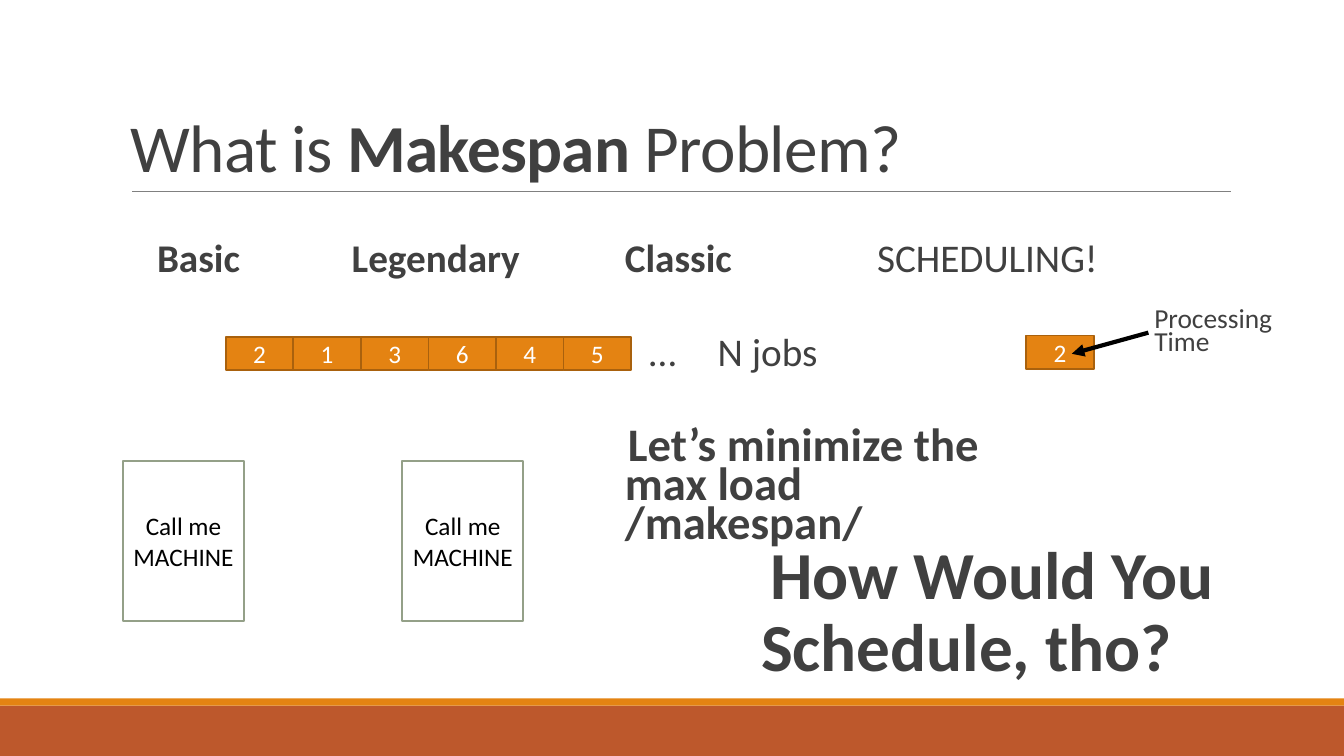
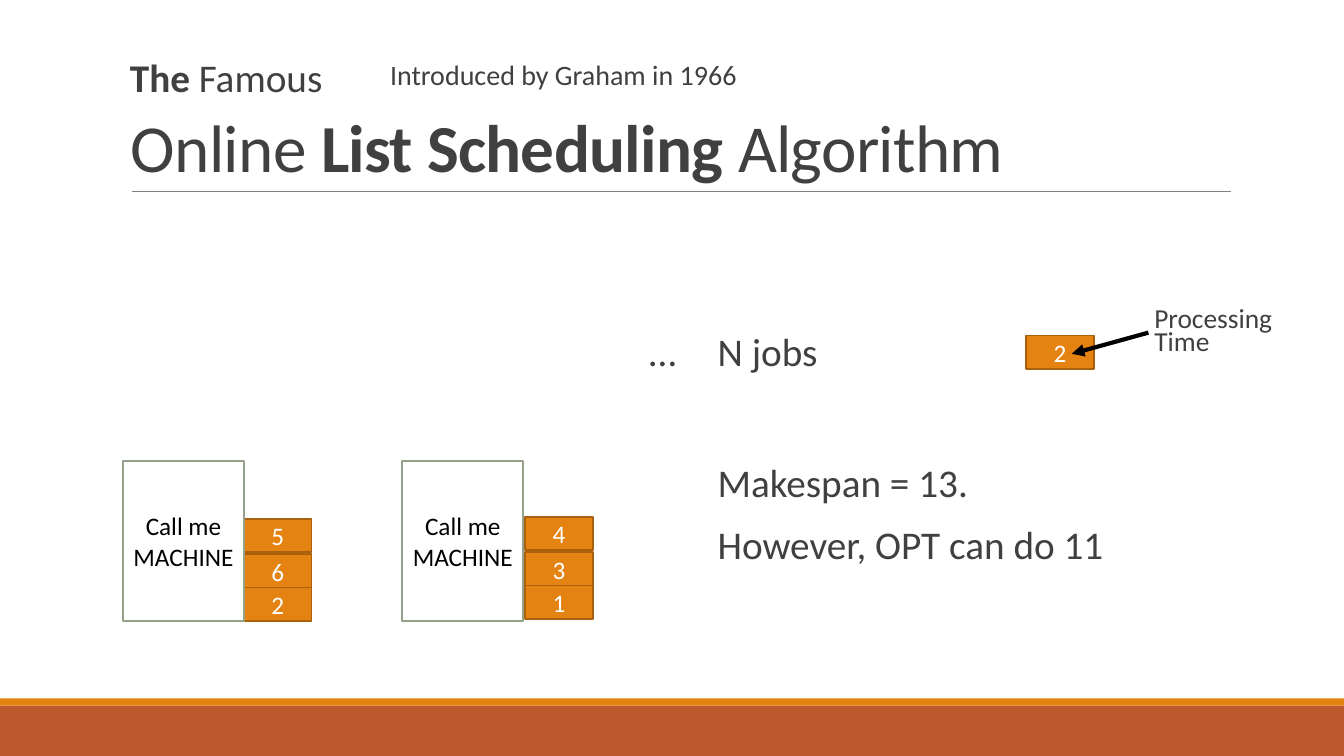
from dataclasses import dataclass

from lxml import etree
from pptx import Presentation
from pptx.dml.color import RGBColor
from pptx.enum import shapes, text
from pptx.oxml import ns
from pptx.util import Inches, Pt

FONT = "Calibri"
ORANGE, RUST, DARK_ORANGE = "E48312", "BD582C", "A9610D"
INK, GREY, SAGE, WHITE, BLACK = "404040", "808080", "94A088", "FFFFFF", "000000"

JOB_WIDTH, JOB_HEIGHT = 0.67, 0.33
MACHINE_WIDTH, MACHINE_HEIGHT = 1.2, 1.59
MACHINE_LEFTS = (1.22, 3.99)
MACHINE_TOP = 4.57
STACK_RISES = (0, 0.33, 0.68)


@dataclass(frozen=True)
class Span:
    text: str
    bold: bool = False


@dataclass(frozen=True)
class Label:
    left: float
    top: float
    width: float
    height: float
    paragraphs: list[list[Span]]
    size: float = 28
    line_spacing: float = 0.9
    first_indent: float = 0


@dataclass(frozen=True)
class Stack:
    left: float
    base: float
    jobs: tuple[int, ...]


def color(value: str) -> RGBColor:
    return RGBColor.from_string(value)


def style_font(font, size: float, value: str, bold: bool = False) -> None:
    font.name, font.size, font.bold = FONT, Pt(size), bold
    font.color.rgb = color(value)


# Shapes and lines
def add_box(slide, left: float, top: float, width: float, height: float, fill: str,
            line: str | None = None, caption: str = "", ink: str = WHITE) -> None:
    shape = slide.shapes.add_shape(shapes.MSO_SHAPE.RECTANGLE, Inches(left), Inches(top),
                                   Inches(width), Inches(height))
    shape.shadow.inherit = False
    shape.fill.solid()
    shape.fill.fore_color.rgb = color(fill)
    if line:
        shape.line.color.rgb = color(line)
        shape.line.width = Pt(1.25)
    else:
        shape.line.fill.background()
    if caption:
        frame = shape.text_frame
        frame.text = caption
        frame.vertical_anchor = text.MSO_ANCHOR.MIDDLE
        paragraph = frame.paragraphs[0]
        paragraph.alignment = text.PP_ALIGN.CENTER
        style_font(paragraph.runs[0].font, 18, ink)


def add_line(slide, start: tuple[float, float], end: tuple[float, float],
             value: str, width: float, arrow: bool = False) -> None:
    line = slide.shapes.add_connector(shapes.MSO_CONNECTOR.STRAIGHT,
                                      *map(Inches, start + end))
    line.line.color.rgb = color(value)
    line.line.width = Pt(width)
    if arrow:
        etree.SubElement(line.line._get_or_add_ln(), ns.qn("a:tailEnd"), type="triangle")
    etree.SubElement(line._element.spPr, ns.qn("a:effectLst"))


# Text
def add_spans(paragraph, spans: list[Span], size: float) -> None:
    for span in spans:
        run = paragraph.add_run()
        run.text = span.text
        style_font(run.font, size, INK, span.bold)


def add_text_frame(slide, left: float, top: float, width: float, height: float):
    box = slide.shapes.add_textbox(Inches(left), Inches(top), Inches(width), Inches(height))
    box.text_frame.word_wrap = True
    return box.text_frame


def add_label(slide, label: Label) -> None:
    frame = add_text_frame(slide, label.left, label.top, label.width, label.height)
    frame.margin_left, frame.margin_right = Inches(0.1), 0
    for index, spans in enumerate(label.paragraphs):
        paragraph = frame.add_paragraph() if index else frame.paragraphs[0]
        paragraph.line_spacing = label.line_spacing
        paragraph.space_before, paragraph.space_after = Pt(12), Pt(2)
        if label.first_indent:
            paragraph._p.get_or_add_pPr().set("indent", str(Inches(label.first_indent)))
        add_spans(paragraph, spans, label.size)


def add_title(slide, spans: list[Span]) -> None:
    frame = add_text_frame(slide, 1.2, 0.4, 11, 1.5)
    frame.vertical_anchor = text.MSO_ANCHOR.BOTTOM
    paragraph = frame.paragraphs[0]
    paragraph.line_spacing = 0.85
    add_spans(paragraph, spans, 48)
    for run in paragraph.runs:
        run.font._element.set("spc", "-50")


# Parts shared by both slides
def add_job(slide, left: float, top: float, time: int) -> None:
    add_box(slide, left, top, JOB_WIDTH, JOB_HEIGHT, ORANGE, DARK_ORANGE, str(time))


def add_base_slide(presentation, title: list[Span]):
    slide = presentation.slides.add_slide(presentation.slide_layouts[6])
    add_box(slide, 0, 7, 13.33, 0.5, RUST)
    add_box(slide, 0, 6.93, 13.33, 0.07, ORANGE)
    add_line(slide, (1.31, 1.9), (12.21, 1.9), GREY, 0.5)
    add_title(slide, title)
    return slide


def add_scheduling_setup(slide) -> None:
    add_label(slide, Label(6.34, 3.25, 1.2, 0.61, [[Span("…")]]))
    add_label(slide, Label(7.02, 3.25, 1.2, 0.61, [[Span("N jobs")]]))
    add_job(slide, 10.18, 3.33, 2)
    add_line(slide, (11.39, 3.3), (10.63, 3.51), BLACK, 3, arrow=True)
    add_label(slide, Label(11.35, 3.03, 1.45, 0.61, [[Span("Processing Time")]], 19.6, 0.7))
    for left in MACHINE_LEFTS:
        add_box(slide, left, MACHINE_TOP, MACHINE_WIDTH, MACHINE_HEIGHT, WHITE, SAGE,
                "Call me MACHINE", BLACK)


# Slides
def build_problem_slide(presentation) -> None:
    slide = add_base_slide(presentation, [Span("What is "), Span("Makespan", True),
                                          Span(" Problem?")])
    for index, time in enumerate((2, 1, 3, 6, 4, 5)):
        add_job(slide, 2.24 + index * JOB_WIDTH, 3.34, time)
    add_scheduling_setup(slide)
    labels = [
        Label(1.46, 2.32, 1.3, 0.61, [[Span("Basic", True)]]),
        Label(3.39, 2.32, 2.16, 0.61, [[Span("Legendary", True)]]),
        Label(6.1, 2.32, 1.3, 0.61, [[Span("Classic", True)]]),
        Label(8.6, 2.32, 2.51, 0.61, [[Span("SCHEDULING!")]]),
        Label(6.1, 4.22, 3.91, 1.33,
              [[Span("Let’s minimize the max load /makespan/", True)]], 33.3, 0.7, 0.03),
        Label(7.45, 5.32, 5.47, 2.18, [[Span("How Would You Schedule, tho?", True)]], 48,
              first_indent=0.09),
    ]
    for label in labels:
        add_label(slide, label)


def build_algorithm_slide(presentation) -> None:
    slide = add_base_slide(presentation, [Span("Online "), Span("List Scheduling ", True),
                                          Span("Algorithm")])
    for stack in (Stack(2.42, 5.83, (2, 6, 5)), Stack(5.21, 5.81, (1, 3, 4))):
        for rise, time in zip(STACK_RISES, stack.jobs):
            add_job(slide, stack.left, stack.base - rise, time)
    add_scheduling_setup(slide)
    labels = [
        Label(1.19, 0.53, 2.3, 0.7, [[Span("The", True), Span(" Famous")]]),
        Label(3.77, 0.56, 4.2, 0.83, [[Span("Introduced by Graham in 1966")]], 20),
        Label(7.02, 4.55, 4.44, 1.52,
              [[Span("Makespan = 13.")], [Span("However, OPT can do 11")]]),
    ]
    for label in labels:
        add_label(slide, label)


def main() -> None:
    presentation = Presentation()
    presentation.slide_width, presentation.slide_height = Inches(13.33), Inches(7.5)
    build_problem_slide(presentation)
    build_algorithm_slide(presentation)
    presentation.save("out.pptx")


if __name__ == "__main__":
    main()
